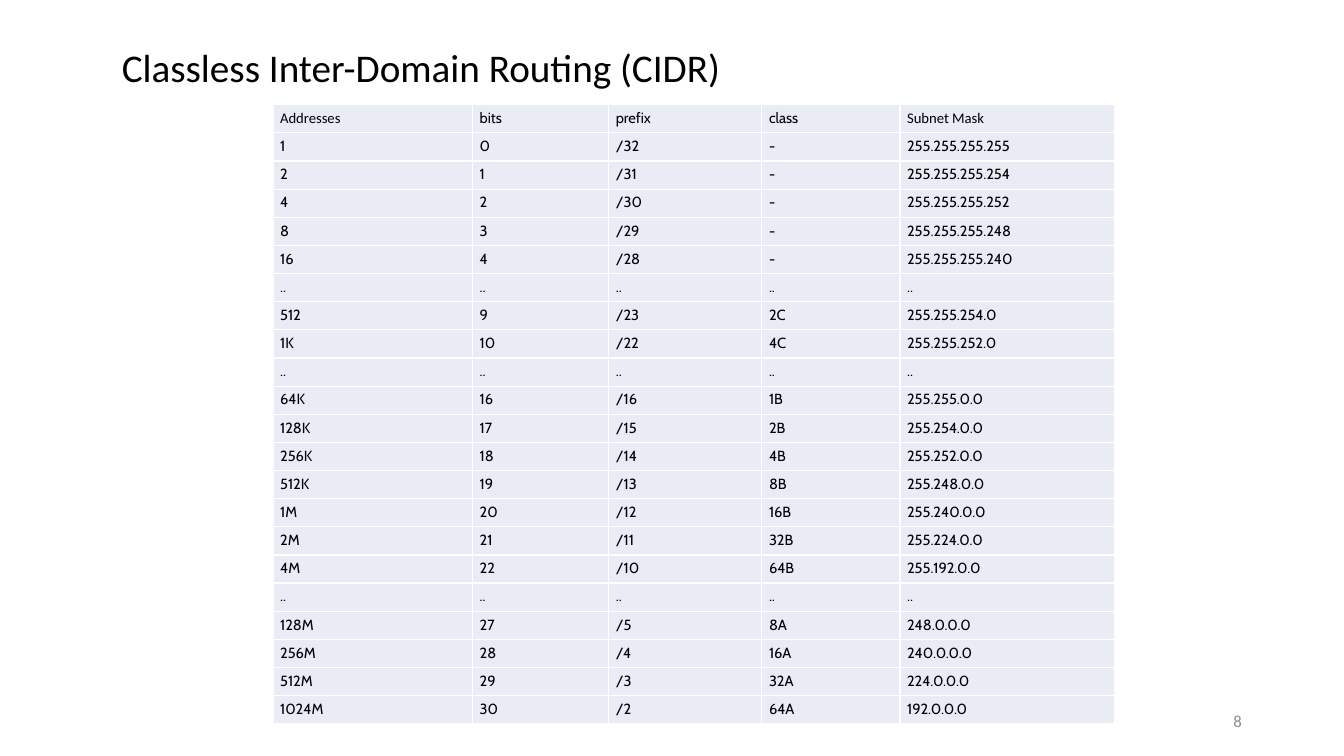
from lxml import etree
from pptx import Presentation
from pptx.dml.color import RGBColor
from pptx.enum.text import MSO_ANCHOR, PP_ALIGN
from pptx.oxml.ns import qn
from pptx.util import Cm, Pt

MIDDLE = MSO_ANCHOR.MIDDLE
LEFT, RIGHT = PP_ALIGN.LEFT, PP_ALIGN.RIGHT

# Content
TITLE = "Classless Inter-Domain Routing (CIDR)"
PAGE_NUMBER = "8"
HEADER = ("Addresses", "bits", "prefix", "class", "Subnet Mask")
GAP = ("..",) * len(HEADER)
ROWS = [
    HEADER,
    ("1", "0", "/32", "-", "255.255.255.255"),
    ("2", "1", "/31", "-", "255.255.255.254"),
    ("4", "2", "/30", "-", "255.255.255.252"),
    ("8", "3", "/29", "-", "255.255.255.248"),
    ("16", "4", "/28", "-", "255.255.255.240"),
    GAP,
    ("512", "9", "/23", "2C", "255.255.254.0"),
    ("1K", "10", "/22", "4C", "255.255.252.0"),
    GAP,
    ("64K", "16", "/16", "1B", "255.255.0.0"),
    ("128K", "17", "/15", "2B", "255.254.0.0"),
    ("256K", "18", "/14", "4B", "255.252.0.0"),
    ("512K", "19", "/13", "8B", "255.248.0.0"),
    ("1M", "20", "/12", "16B", "255.240.0.0"),
    ("2M", "21", "/11", "32B", "255.224.0.0"),
    ("4M", "22", "/10", "64B", "255.192.0.0"),
    GAP,
    ("128M", "27", "/5", "8A", "248.0.0.0"),
    ("256M", "28", "/4", "16A", "240.0.0.0"),
    ("512M", "29", "/3", "32A", "224.0.0.0"),
    ("1024M", "30", "/2", "64A", "192.0.0.0"),
]
CALIBRI_LABELS = ("Addresses", "Subnet Mask")

# Lengths in centimetres
TABLE_LEFT, TABLE_TOP, TABLE_HEIGHT = 6.88, 2.64, 15.6
COLUMN_WIDTHS = (5.03, 3.43, 3.86, 3.48, 5.41)
CELL_INSET = 0.18


class Theme:
    text = "000000"
    muted = "8C8C8C"
    cell = "E9EBF5"
    border = "FFFFFF"
    main_font = "Calibri"
    table_font = "Cabin"
    title_size = 28
    number_size = 12
    table_size = 10.5
    table_line = Pt(12)
    border_width = Pt(1)


def write_text(frame, text, *, size, font=Theme.main_font, color=Theme.text,
               align=LEFT, line_spacing=1.0):
    paragraph = frame.paragraphs[0]
    paragraph.alignment = align
    paragraph.line_spacing = line_spacing
    run = paragraph.add_run()
    run.text = text
    run.font.name = font
    run.font.size = Pt(size)
    run.font.color.rgb = RGBColor.from_string(color)


def add_text_box(slide, text, left, top, width, height, **text_format):
    frame = slide.shapes.add_textbox(Cm(left), Cm(top), Cm(width), Cm(height)).text_frame
    frame.word_wrap = True
    frame.vertical_anchor = MIDDLE
    write_text(frame, text, **text_format)


def add_borders(cell):
    properties = cell._tc.get_or_add_tcPr()
    for side in ("a:lnL", "a:lnR", "a:lnT", "a:lnB"):
        line = etree.SubElement(properties, qn(side), w=str(Theme.border_width))
        fill = etree.SubElement(line, qn("a:solidFill"))
        etree.SubElement(fill, qn("a:srgbClr"), val=Theme.border)


def format_cell(cell, text):
    cell.margin_left = cell.margin_right = Cm(CELL_INSET)
    cell.margin_top = cell.margin_bottom = 0
    cell.vertical_anchor = MIDDLE
    add_borders(cell)  # borders come before the fill in the cell properties
    cell.fill.solid()
    cell.fill.fore_color.rgb = RGBColor.from_string(Theme.cell)
    font = Theme.main_font if text in CALIBRI_LABELS else Theme.table_font
    write_text(cell.text_frame, text, size=Theme.table_size, font=font,
               line_spacing=Theme.table_line)


def add_address_table(slide):
    table = slide.shapes.add_table(
        len(ROWS), len(HEADER), Cm(TABLE_LEFT), Cm(TABLE_TOP),
        Cm(sum(COLUMN_WIDTHS)), Cm(TABLE_HEIGHT)).table
    table.first_row = table.horz_banding = False
    for column, width in zip(table.columns, COLUMN_WIDTHS):
        column.width = Cm(width)
    for row, texts in zip(table.rows, ROWS):
        row.height = Cm(TABLE_HEIGHT / len(ROWS))
        for cell, text in zip(row.cells, texts):
            format_cell(cell, text)


def main():
    presentation = Presentation()
    presentation.slide_width, presentation.slide_height = Cm(33.87), Cm(19.05)
    slide = presentation.slides.add_slide(presentation.slide_layouts[6])

    # Title and page number
    add_text_box(slide, TITLE, 2.82, 1.09, 20.27, 1.35,
                 size=Theme.title_size, line_spacing=0.9)
    add_text_box(slide, PAGE_NUMBER, 23.93, 17.65, 7.62, 1.02,
                 size=Theme.number_size, color=Theme.muted, align=RIGHT)

    # Address blocks
    add_address_table(slide)
    presentation.save("out.pptx")


if __name__ == "__main__":
    main()
